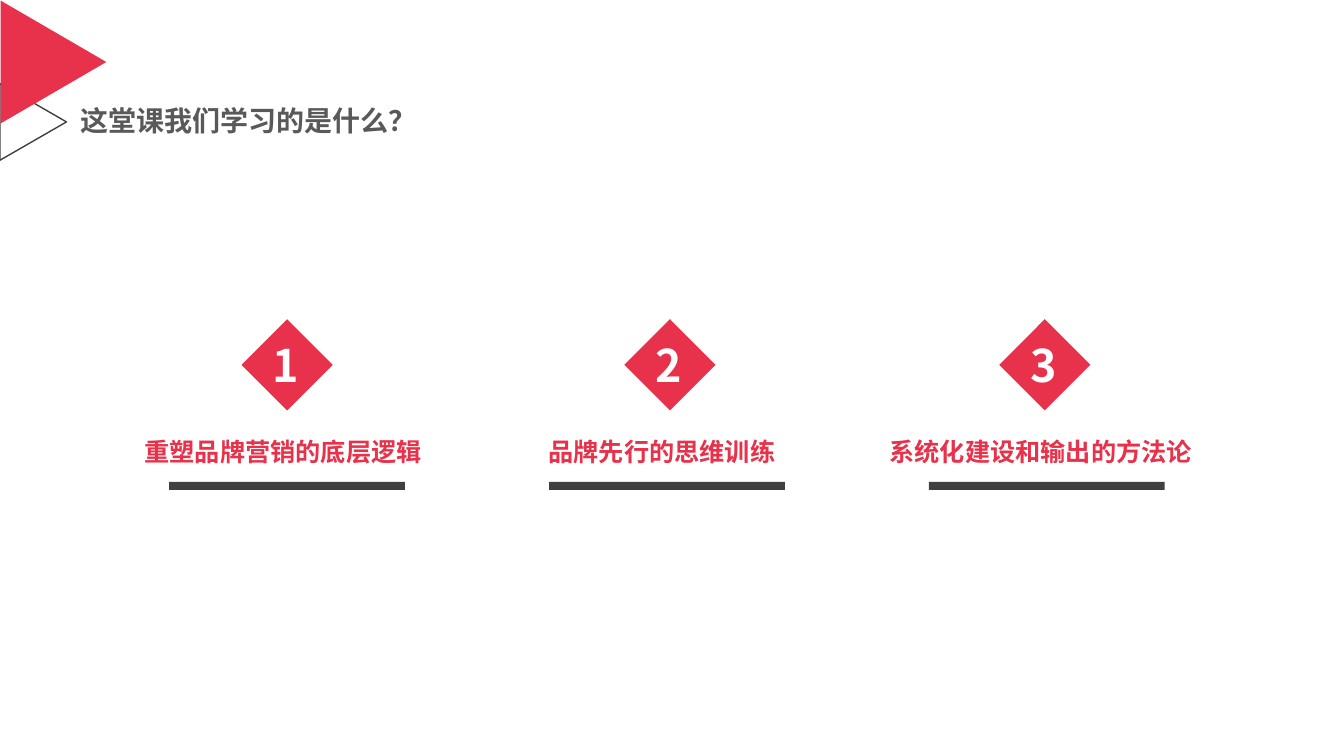
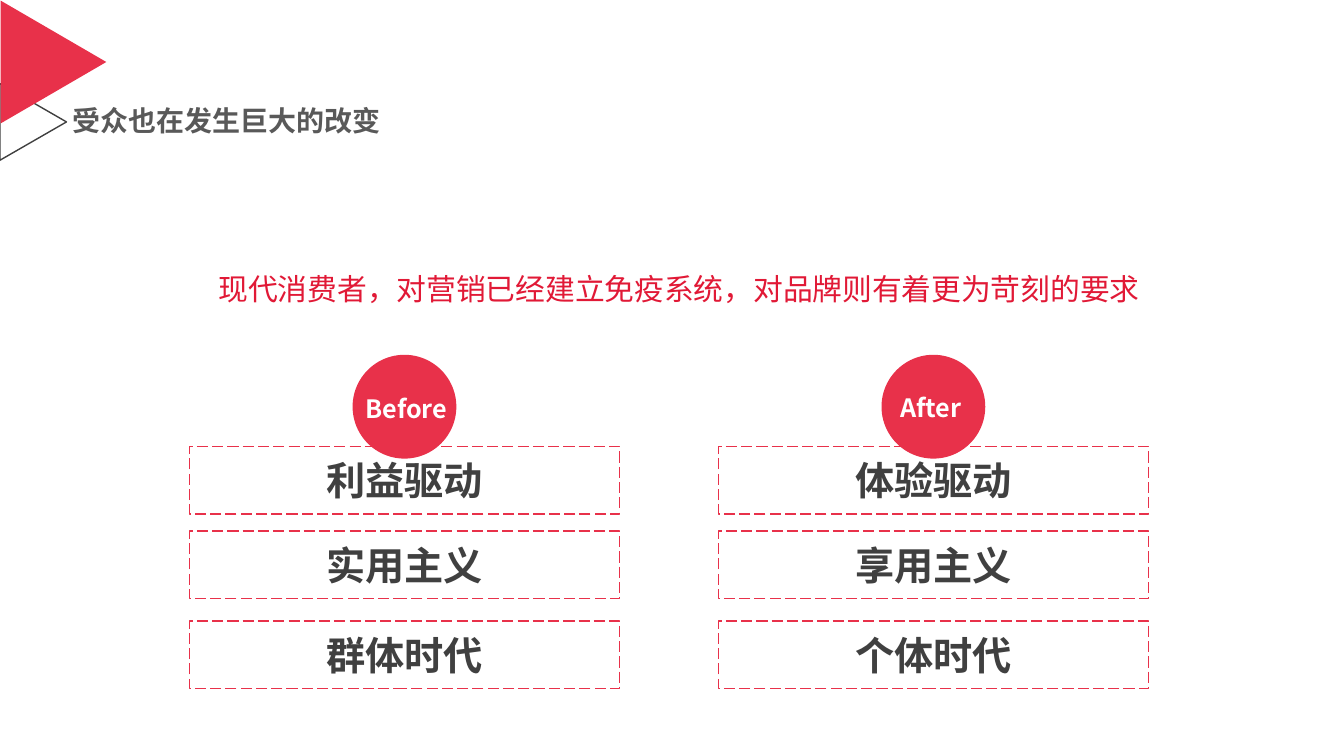
"""Build two course slides: the lesson outline and the shift in audiences."""
import pptx
import pptx.dml.color
import pptx.enum.dml
import pptx.enum.shapes
import pptx.enum.text
import pptx.oxml.ns
import pptx.util
from lxml import etree

Inches = pptx.util.Inches
Shape = pptx.enum.shapes.MSO_SHAPE
Anchor = pptx.enum.text.MSO_ANCHOR
Align = pptx.enum.text.PP_ALIGN

FONT = "Noto Sans CJK SC"
COLORS = {
    "red": "E8314A",
    "crimson": "E11936",
    "dark": "404040",
    "title": "595959",
    "white": "FFFFFF",
}


def rgb(color):
    return pptx.dml.color.RGBColor.from_string(COLORS[color])


def write_text(shape, text, size, color, bold=True, align=Align.LEFT,
               anchor=Anchor.TOP, wrap=True, insets=(0.1, 0.05), spacing=None):
    frame = shape.text_frame
    frame.word_wrap = wrap
    frame.vertical_anchor = anchor
    frame.margin_left = frame.margin_right = Inches(insets[0])
    frame.margin_top = frame.margin_bottom = Inches(insets[1])
    if not wrap:
        frame.auto_size = pptx.enum.text.MSO_AUTO_SIZE.SHAPE_TO_FIT_TEXT
    paragraph = frame.paragraphs[0]
    paragraph.alignment = align
    if spacing:
        paragraph.line_spacing = spacing
    run = paragraph.add_run()
    run.text = text
    run.font.size = pptx.util.Pt(size)
    run.font.bold = bold
    run.font.color.rgb = rgb(color)
    run.font.name = FONT
    properties = run.font._element
    etree.SubElement(properties, pptx.oxml.ns.qn("a:ea"), typeface=FONT)


def add_text(slide, box, text, size, color, **style):
    textbox = slide.shapes.add_textbox(*map(Inches, box))
    write_text(textbox, text, size, color, **style)


def add_figure(slide, kind, box, fill=None, line=None, dash=None, rotation=0):
    shape = slide.shapes.add_shape(kind, *map(Inches, box))
    shape.shadow.inherit = False
    shape.rotation = rotation
    if fill:
        shape.fill.solid()
        shape.fill.fore_color.rgb = rgb(fill)
    else:
        shape.fill.background()
    if line:
        shape.line.color.rgb = rgb(line)
        shape.line.width = pptx.util.Pt(1)
        if dash:
            shape.line.dash_style = dash
    else:
        shape.line.fill.background()
    return shape


def add_titled_slide(presentation, title, box, **style):
    slide = presentation.slides.add_slide(presentation.slide_layouts[6])
    add_figure(slide, Shape.ISOSCELES_TRIANGLE, (-0.05, 0.88, 0.76, 0.66),
               line="dark", rotation=90)
    add_figure(slide, Shape.ISOSCELES_TRIANGLE, (-0.08, 0.09, 1.22, 1.05),
               fill="red", rotation=90)
    add_text(slide, box, title, 20, "title", spacing=0.9, **style)
    return slide


def add_topic(slide, index, diamond_left, label):
    add_text(slide, (1.19 + 3.76 * index, 4.16, 3.24, 0.63), label, 18, "red",
             align=Align.CENTER, anchor=Anchor.MIDDLE)
    add_figure(slide, Shape.RECTANGLE, (1.68 + 3.77 * index, 4.78, 2.34, 0.08),
               fill="dark")
    add_figure(slide, Shape.RECTANGLE, (diamond_left, 3.3, 0.64, 0.64),
               fill="red", rotation=45)
    add_text(slide, (diamond_left + 0.08, 3.3, 0.48, 0.64), str(index + 1),
             32, "white", wrap=False)


def add_era(slide, left, caption, caption_box, traits):
    for top, trait in zip((4.43, 5.27, 6.16), traits):
        frame = add_figure(slide, Shape.RECTANGLE, (left, top, 4.27, 0.67),
                           line="red",
                           dash=pptx.enum.dml.MSO_LINE.LONG_DASH)
        write_text(frame, trait, 28, "dark", align=Align.CENTER,
                   anchor=Anchor.MIDDLE)
    add_figure(slide, Shape.OVAL, (left + 1.62, 3.52, 1.03, 1.03), fill="red")
    add_text(slide, caption_box, caption, 18, "white", wrap=False)


def build_outline(presentation):
    slide = add_titled_slide(presentation, "这堂课我们学习的是什么？",
                             (0.7, 1.02, 4.8, 0.46))
    topics = (
        (2.53, "重塑品牌营销的底层逻辑"),
        (6.33, "品牌先行的思维训练"),
        (10.05, "系统化建设和输出的方法论"),
    )
    for index, (diamond_left, label) in enumerate(topics):
        add_topic(slide, index, diamond_left, label)


def build_audience(presentation):
    slide = add_titled_slide(presentation, "受众也在发生巨大的改变",
                             (0.67, 1.01, 3.23, 0.41), wrap=False,
                             anchor=Anchor.MIDDLE, insets=(0.05, 0.05))
    add_text(slide, (2.04, 2.62, 9.56, 0.49),
             "现代消费者，对营销已经建立免疫系统，对品牌则有着更为苛刻的要求",
             21.3, "crimson", bold=False, wrap=False, insets=(0.13, 0.07))
    add_era(slide, 1.88, "Before", (3.53, 3.85, 1.04, 0.4),
            ("利益驱动", "实用主义", "群体时代"))
    add_era(slide, 7.13, "After", (8.84, 3.84, 0.86, 0.4),
            ("体验驱动", "享用主义", "个体时代"))


def main():
    presentation = pptx.Presentation()
    presentation.slide_width = Inches(13.34)
    presentation.slide_height = Inches(7.5)
    build_outline(presentation)
    build_audience(presentation)
    presentation.save("out.pptx")


if __name__ == "__main__":
    main()
